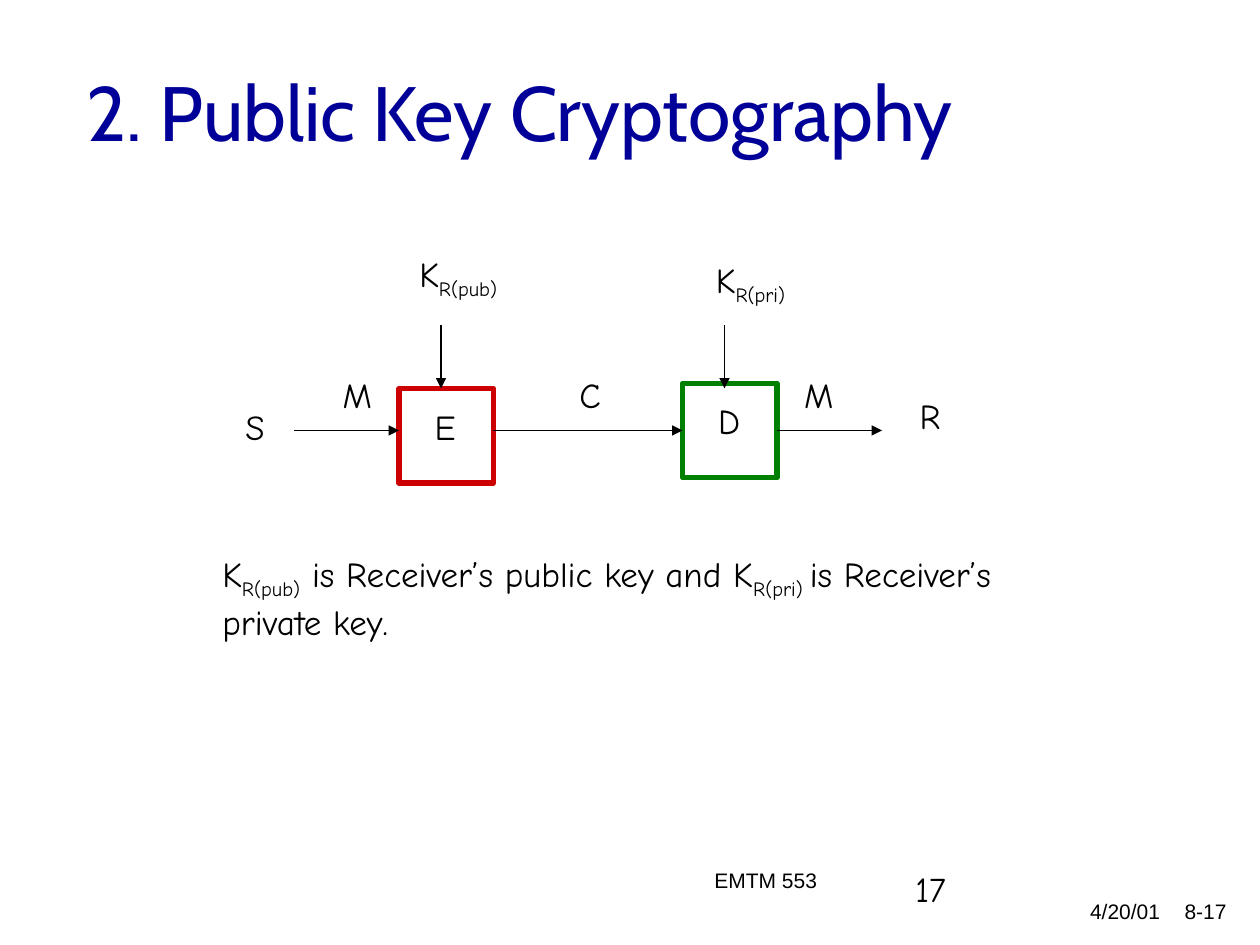
from lxml import etree
from pptx import Presentation
from pptx.dml.color import RGBColor
from pptx.enum.shapes import MSO_CONNECTOR, MSO_SHAPE
from pptx.enum.text import MSO_ANCHOR, MSO_AUTO_SIZE, PP_ALIGN
from pptx.oxml.ns import qn
from pptx.util import Pt

LEFT, RIGHT = PP_ALIGN.LEFT, PP_ALIGN.RIGHT
MIDDLE = MSO_ANCHOR.MIDDLE
NO_AUTOFIT = MSO_AUTO_SIZE.NONE
STRAIGHT = MSO_CONNECTOR.STRAIGHT
RECTANGLE = MSO_SHAPE.RECTANGLE

BLACK = RGBColor(0x00, 0x00, 0x00)
NAVY = RGBColor(0x00, 0x00, 0x99)
RED = RGBColor(0xCC, 0x00, 0x00)
GREEN = RGBColor(0x00, 0x80, 0x00)

TITLE_FONT, DIAGRAM_FONT, FOOTER_FONT = "Cabin", "Comic Neue", "Arial"

FLOW_Y = 246
BLOCK_SIZE = 54
ENCRYPT_X, DECRYPT_X = 228, 390
ARROW_LENGTH = 60
KEY_ARROW_TOP, KEY_ARROW_BOTTOM = 186, 222
LABEL_HEIGHT = 31.5

PUBLIC_KEY = [("K", False), ("R(pub)", True)]
PRIVATE_KEY = [("K", False), ("R(pri)", True)]
EXPLANATION = [
    *PUBLIC_KEY,
    (" is Receiver’s public key and K", False),
    ("R(pri) ", True),
    ("is Receiver’s private key.", False),
]


def add_span(para, text, font, size, color, subscript=False):
    span = para.add_run()
    span.text = text
    span.font.name = font
    span.font.size = Pt(size)
    span.font.color.rgb = color
    if subscript:
        span.font._element.set("baseline", "-25000")


def add_title(page, text):
    title = page.shapes.title
    title.left, title.top, title.width, title.height = Pt(42), Pt(18), Pt(612), Pt(90)
    frame = title.text_frame
    frame.auto_size = NO_AUTOFIT
    frame.vertical_anchor = MIDDLE
    para = frame.paragraphs[0]
    para.alignment = LEFT
    add_span(para, text, TITLE_FONT, 44, NAVY)


def add_text(page, spans, left, top, width, height,
             font=DIAGRAM_FONT, size=20, align=LEFT, wrap=True):
    """Add a text box; spans is a list of (text, is_subscript) pairs."""
    box = page.shapes.add_textbox(Pt(left), Pt(top), Pt(width), Pt(height))
    box.text_frame.word_wrap = wrap
    para = box.text_frame.paragraphs[0]
    para.alignment = align
    for text, subscript in spans:
        add_span(para, text, font, size, BLACK, subscript)


def add_label(page, letter, left, top, width):
    add_text(page, [(letter, False)], left, top, width, LABEL_HEIGHT, wrap=False)


def add_footer(page, text, left, top, width, height):
    add_text(page, [(text, False)], left, top, width, height,
             font=FOOTER_FONT, size=12, align=RIGHT)


def add_block(page, left, top, color):
    block = page.shapes.add_shape(
        RECTANGLE, Pt(left), Pt(top), Pt(BLOCK_SIZE), Pt(BLOCK_SIZE))
    block.shadow.inherit = False
    block.fill.background()
    block.line.color.rgb = color
    block.line.width = Pt(3)


def add_arrow(page, start_x, start_y, end_x, end_y):
    arrow = page.shapes.add_connector(
        STRAIGHT, Pt(start_x), Pt(start_y), Pt(end_x), Pt(end_y))
    arrow.line.color.rgb = BLACK
    arrow.line.width = Pt(0.75)
    etree.SubElement(arrow.line._get_or_add_ln(), qn("a:tailEnd"), type="triangle")
    etree.SubElement(arrow._element.spPr, qn("a:effectLst"))


def add_diagram(page):
    add_block(page, ENCRYPT_X, 222, RED)
    add_block(page, DECRYPT_X, 219, GREEN)

    encrypt_end = ENCRYPT_X + BLOCK_SIZE
    decrypt_end = DECRYPT_X + BLOCK_SIZE
    for start, end in [
        (ENCRYPT_X - ARROW_LENGTH, ENCRYPT_X),
        (encrypt_end, DECRYPT_X),
        (decrypt_end, decrypt_end + ARROW_LENGTH),
    ]:
        add_arrow(page, start, FLOW_Y, end, FLOW_Y)
    for key_x in (252, 414):
        add_arrow(page, key_x, KEY_ARROW_TOP, key_x, KEY_ARROW_BOTTOM)

    for letter, left, top, width in [
        ("S", 133.2, 228, 25),
        ("M", 188.8, 210, 31),
        ("E", 241.2, 228, 26.5),
        ("C", 324, 210, 30),
        ("D", 403.2, 225, 26.5),
        ("M", 452.4, 210, 31),
        ("R", 518.4, 222, 26),
    ]:
        add_label(page, letter, left, top, width)

    add_text(page, PUBLIC_KEY, 232.5, 141, 85, 34.5)
    add_text(page, PRIVATE_KEY, 402, 144, 72, 34.5)


def main():
    deck = Presentation()
    deck.slide_width, deck.slide_height = Pt(720), Pt(540)
    page = deck.slides.add_slide(deck.slide_layouts[5])

    add_title(page, "2. Public Key Cryptography")
    add_diagram(page)
    add_text(page, EXPLANATION, 120, 312, 468, 59)

    add_footer(page, "EMTM 553", 246, 492, 228, 36)
    add_text(page, [("17", False)], 516, 492, 150, 36)
    add_footer(page, "4/20/01", 366, 510, 304, 24)
    add_footer(page, "8-17", 654.5, 510, 53.5, 24)

    deck.save("out.pptx")


if __name__ == "__main__":
    main()
